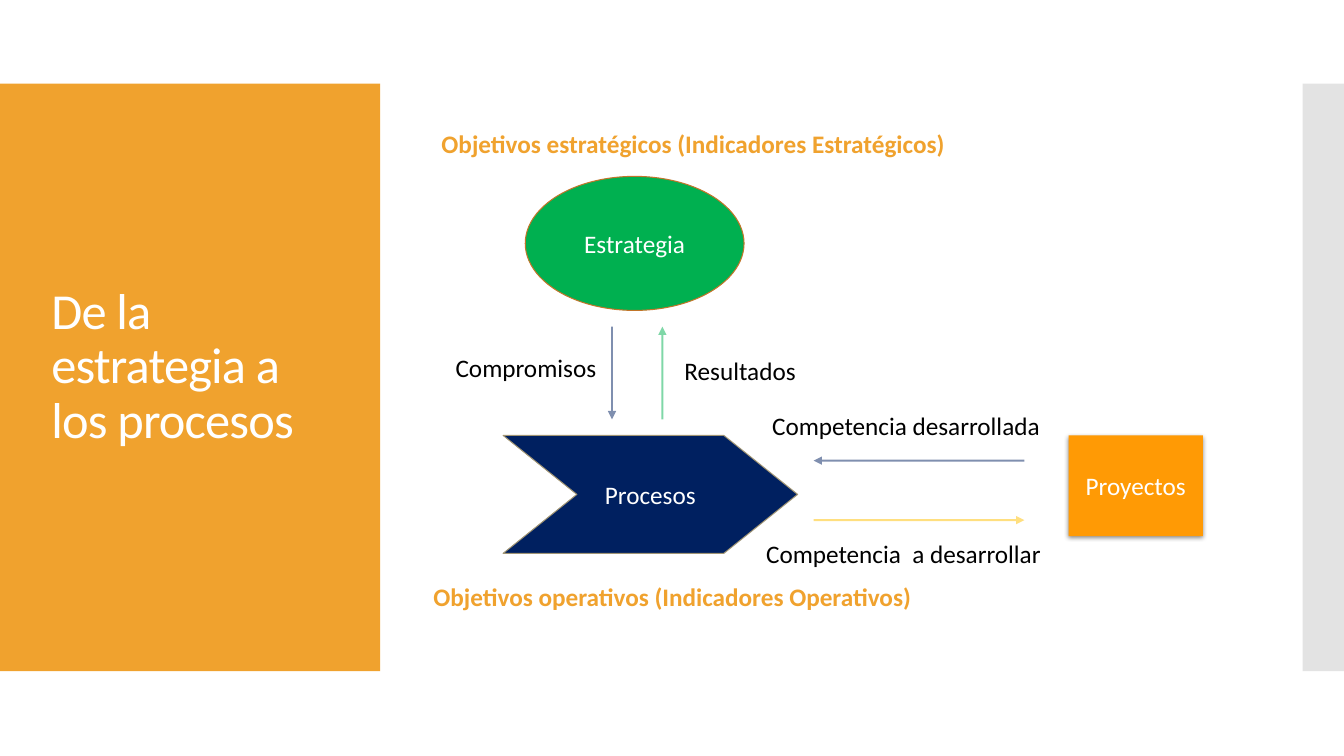
import pptx
import pptx.dml.color
import pptx.enum.shapes
import pptx.enum.text
import pptx.oxml.ns
import pptx.util
from lxml import etree

RGBColor = pptx.dml.color.RGBColor
Inches = pptx.util.Inches
Pt = pptx.util.Pt
SHAPE = pptx.enum.shapes.MSO_SHAPE
ALIGN = pptx.enum.text.PP_ALIGN
ANCHOR = pptx.enum.text.MSO_ANCHOR
AUTO_SIZE = pptx.enum.text.MSO_AUTO_SIZE
qn = pptx.oxml.ns.qn

WHITE = RGBColor(0xFF, 0xFF, 0xFF)
BLACK = RGBColor(0x00, 0x00, 0x00)
AMBER = RGBColor(0xF0, 0xA2, 0x2E)
GREY = RGBColor(0xC8, 0xC8, 0xC8)
GREEN = RGBColor(0x00, 0xB0, 0x50)
NAVY = RGBColor(0x00, 0x20, 0x60)
ORANGE = RGBColor(0xFF, 0x9A, 0x05)
YELLOW = RGBColor(0xFF, 0xC0, 0x00)
RUST = RGBColor(0xC1, 0x75, 0x29)
KHAKI = RGBColor(0xA1, 0x95, 0x74)


class DiagramSlide:
    font = "Calibri"
    body_size = 18
    title_size = 36

    def __init__(self, deck):
        self.slide = deck.slides.add_slide(deck.slide_layouts[5])
        self.shapes = self.slide.shapes

    def add_run(self, paragraph, text, size, color, bold=False):
        run = paragraph.add_run()
        run.text = text
        run.font.name = self.font
        run.font.size = Pt(size)
        run.font.bold = bold
        run.font.color.rgb = color
        return run

    def set_alpha(self, fill_parent, percent):
        color = next(fill_parent.iter(qn("a:srgbClr")))
        etree.SubElement(color, qn("a:alpha"), val=str(percent * 1000))

    def title(self, text, left, top, width, height):
        title = self.shapes.title
        title.left, title.top = Inches(left), Inches(top)
        title.width, title.height = Inches(width), Inches(height)
        frame = title.text_frame
        frame.word_wrap = True
        frame.auto_size = AUTO_SIZE.NONE
        frame.vertical_anchor = ANCHOR.MIDDLE
        paragraph = frame.paragraphs[0]
        paragraph.alignment = ALIGN.LEFT
        paragraph.line_spacing = 0.9
        run = self.add_run(paragraph, text, self.title_size, WHITE)
        run.font._element.set("spc", "-60")
        # Bring the title in front of the side band
        self.shapes._spTree.append(title._element)

    def block(self, kind, left, top, width, height, fill, text="", outline=None):
        block = self.shapes.add_shape(
            kind, Inches(left), Inches(top), Inches(width), Inches(height))
        block.shadow.inherit = False
        block.fill.solid()
        block.fill.fore_color.rgb = fill
        if outline is None:
            block.line.fill.background()
        else:
            block.line.color.rgb = outline
            block.line.width = Pt(0.75)
        if text:
            frame = block.text_frame
            frame.word_wrap = False
            frame.vertical_anchor = ANCHOR.MIDDLE
            frame.paragraphs[0].alignment = ALIGN.CENTER
            self.add_run(frame.paragraphs[0], text, self.body_size, WHITE)
        return block

    def drop_shadow(self, block):
        effects = block._element.spPr.find(qn("a:effectLst"))
        shadow = etree.SubElement(
            effects, qn("a:outerShdw"), blurRad=str(Pt(3.5)), dist=str(Pt(1.1)),
            dir="5400000", algn="ctr", rotWithShape="0")
        etree.SubElement(shadow, qn("a:srgbClr"), val="000000")
        self.set_alpha(shadow, 45)

    def label(self, text, left, top, width, color=BLACK, bold=False):
        label = self.shapes.add_textbox(
            Inches(left), Inches(top), Inches(width), Inches(0.4))
        frame = label.text_frame
        frame.word_wrap = False
        frame.auto_size = AUTO_SIZE.SHAPE_TO_FIT_TEXT
        self.add_run(frame.paragraphs[0], text, self.body_size, color, bold)

    def arrow(self, start, end, color):
        arrow = self.shapes.add_connector(
            pptx.enum.shapes.MSO_CONNECTOR.STRAIGHT,
            *(Inches(length) for length in start + end))
        arrow.line.color.rgb = color
        arrow.line.width = Pt(1.35)
        properties = arrow._element.spPr
        self.set_alpha(properties, 50)
        etree.SubElement(properties.find(qn("a:ln")), qn("a:tailEnd"), type="triangle")
        etree.SubElement(properties, qn("a:effectLst"))


def main():
    deck = pptx.Presentation()
    deck.slide_width, deck.slide_height = Inches(13.33), Inches(7.5)
    page = DiagramSlide(deck)

    # Side bands and title
    page.block(SHAPE.RECTANGLE, 0, 0.83, 3.77, 5.83, AMBER)
    edge_band = page.block(SHAPE.RECTANGLE, 12.92, 0.83, 0.41, 5.83, GREY)
    page.set_alpha(edge_band._element.spPr, 50)
    page.title("De la estrategia a los procesos", 0.41, 1.74, 3.01, 3.81)

    # Strategy, projects and processes
    page.block(SHAPE.OVAL, 5.21, 1.75, 2.17, 1.33, GREEN, "Estrategia", RUST)
    projects = page.block(SHAPE.RECTANGLE, 10.6, 4.32, 1.33, 1, ORANGE, "Proyectos")
    page.drop_shadow(projects)
    processes = page.block(
        SHAPE.CHEVRON, 4.99, 4.32, 2.92, 1.17, NAVY, "Procesos", KHAKI)
    processes.adjustments[0] = 0.625

    # Objectives
    page.label("Objetivos estratégicos (Indicadores Estratégicos)",
               4.28, 1.22, 5.51, AMBER, True)
    page.label("Objetivos operativos (Indicadores Operativos)",
               4.2, 5.72, 5.18, AMBER, True)

    # Flows between the parts
    upper, lower = 3.24, 4.16
    near, far = 8.07, 10.16
    page.arrow((6.07, upper), (6.07, lower), NAVY)
    page.arrow((6.57, lower), (6.57, upper), GREEN)
    page.arrow((near, 5.16), (far, 5.16), YELLOW)
    page.arrow((far, 4.57), (near, 4.57), NAVY)

    # Flow labels
    for text, left, top, width in (
            ("Compromisos", 4.42, 3.45, 1.65),
            ("Resultados", 6.69, 3.48, 1.35),
            ("Competencia desarrollada", 7.56, 4.02, 2.93),
            ("Competencia  a desarrollar", 7.5, 5.29, 2.99)):
        page.label(text, left, top, width)

    deck.save("out.pptx")


if __name__ == "__main__":
    main()
